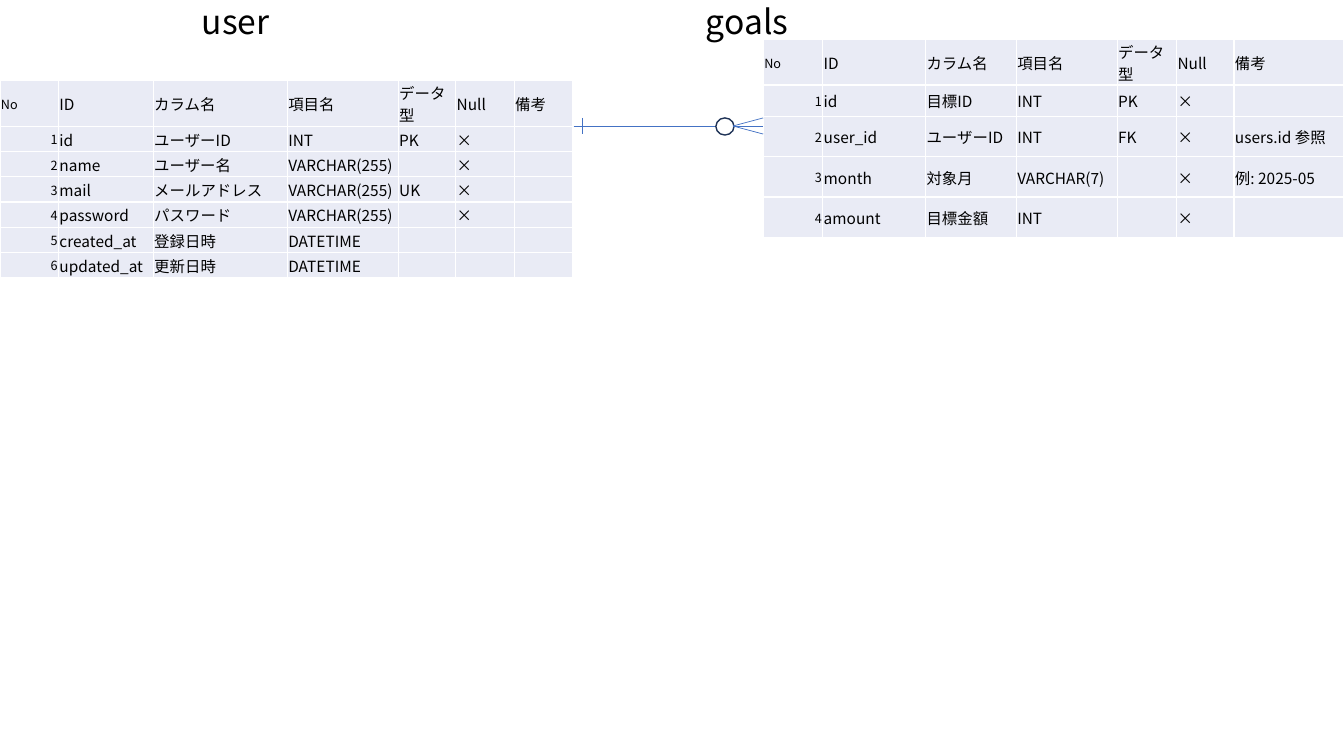
from lxml import etree
from pptx import Presentation
from pptx.dml.color import RGBColor
from pptx.enum.shapes import MSO_CONNECTOR, MSO_SHAPE
from pptx.enum.text import MSO_ANCHOR, MSO_AUTO_SIZE, PP_ALIGN
from pptx.oxml.ns import qn
from pptx.util import Inches, Pt

STRAIGHT = MSO_CONNECTOR.STRAIGHT
OVAL = MSO_SHAPE.OVAL
TOP, MIDDLE = MSO_ANCHOR.TOP, MSO_ANCHOR.MIDDLE
NO_AUTOFIT = MSO_AUTO_SIZE.NONE
LEFT, RIGHT = PP_ALIGN.LEFT, PP_ALIGN.RIGHT

FONT = "Noto Sans CJK JP"
COLORS = {
    "text": "000000",
    "cell": "E9EBF5",
    "relation": "4472C4",
    "circle_fill": "FFFFFF",
    "circle_line": "1E3256",
}
HEADER = ["No", "ID", "カラム名", "項目名", "データ型", "Null", "備考"]
TABLES = [
    {
        "left": 7.57, "top": 0.39,
        "widths": [0.59, 1.02, 0.9, 1, 0.59, 0.57, 1.09],
        "heights": [0.31, 0.31, 0.4, 0.4, 0.4],
        "rows": [
            ["1", "id", "目標ID", "INT", "PK", "×", ""],
            ["2", "user_id", "ユーザーID", "INT", "FK", "×", "users.id 参照"],
            ["3", "month", "対象月", "VARCHAR(7)", "", "×", "例: 2025-05"],
            ["4", "amount", "目標金額", "INT", "", "×", ""],
        ],
    },
    {
        "left": 0, "top": 0.8,
        "widths": [0.58, 0.94, 1.33, 1.1, 0.57, 0.58, 0.58],
        "heights": [0.25] * 7,
        "rows": [
            ["1", "id", "ユーザーID", "INT", "PK", "×", ""],
            ["2", "name", "ユーザー名", "VARCHAR(255)", "", "×", ""],
            ["3", "mail", "メールアドレス", "VARCHAR(255)", "UK", "×", ""],
            ["4", "password", "パスワード", "VARCHAR(255)", "", "×", ""],
            ["5", "created_at", "登録日時", "DATETIME", "", "", ""],
            ["6", "updated_at", "更新日時", "DATETIME", "", "", ""],
        ],
    },
]


def format_paragraph(paragraph, size):
    for run in paragraph.runs:
        run.font.size = Pt(size)
        run.font.name = FONT
        run.font.color.rgb = RGBColor.from_string(COLORS["text"])
        run.font._element.find(qn("a:latin")).addnext(
            etree.Element(qn("a:ea"), typeface=FONT))
    if not paragraph.runs:
        etree.SubElement(paragraph._p, qn("a:endParaRPr"), sz=str(size * 100))


def add_relation_line(shapes, start_x, start_y, end_x, end_y):
    connector = shapes.add_connector(
        STRAIGHT, Inches(start_x), Inches(start_y), Inches(end_x), Inches(end_y))
    connector.line.color.rgb = RGBColor.from_string(COLORS["relation"])
    connector.line.width = Pt(0.5)
    etree.SubElement(connector._element.spPr, qn("a:effectLst"))


presentation = Presentation()
presentation.slide_width = Inches(13.33)
presentation.slide_height = Inches(7.5)
slide = presentation.slides.add_slide(presentation.slide_layouts[0])
shapes = slide.shapes

headings = [(slide.placeholders[1], "user", 1.9), (shapes.title, "goals", 6.9)]
for heading, name, left in headings:
    heading.left, heading.top = Inches(left), Inches(0)
    heading.width, heading.height = Inches(2), Inches(0.5)
    text_frame = heading.text_frame
    text_frame.text = name
    text_frame.auto_size = NO_AUTOFIT
    text_frame.vertical_anchor = TOP
    paragraph = text_frame.paragraphs[0]
    paragraph.alignment = LEFT
    paragraph.line_spacing = 0.9
    paragraph.space_before = Pt(10)
    format_paragraph(paragraph, 24)

for entity in TABLES:
    rows = [HEADER] + entity["rows"]
    table = shapes.add_table(
        len(rows), len(HEADER), Inches(entity["left"]), Inches(entity["top"]),
        Inches(sum(entity["widths"])), Inches(sum(entity["heights"]))).table
    table.first_row = False
    table.horz_banding = False
    for column, width in zip(table.columns, entity["widths"]):
        column.width = Inches(width)
    for row, height in zip(table.rows, entity["heights"]):
        row.height = Inches(height)
    for row_index, values in enumerate(rows):
        for column_index, value in enumerate(values):
            cell = table.cell(row_index, column_index)
            cell.text = value
            cell.fill.solid()
            cell.fill.fore_color.rgb = RGBColor.from_string(COLORS["cell"])
            cell.vertical_anchor = MIDDLE
            cell.margin_left = cell.margin_right = cell.margin_top = Inches(0.01)
            cell.margin_bottom = 0
            paragraph = cell.text_frame.paragraphs[0]
            if value.isdigit():
                paragraph.alignment = RIGHT
            format_paragraph(paragraph, 9 if column_index == 0 else 11)

add_relation_line(shapes, 5.69, 1.25, 7.15, 1.25)
circle = shapes.add_shape(OVAL, Inches(7.1), Inches(1.17), Inches(0.18), Inches(0.17))
circle.shadow.inherit = False
circle.fill.solid()
circle.fill.fore_color.rgb = RGBColor.from_string(COLORS["circle_fill"])
circle.line.color.rgb = RGBColor.from_string(COLORS["circle_line"])
circle.line.width = Pt(1)
for foot_y in (1.17, 1.25, 1.33):
    add_relation_line(shapes, 7.27, 1.25, 7.57, foot_y)
add_relation_line(shapes, 5.78, 1.17, 5.78, 1.33)

presentation.save("out.pptx")
